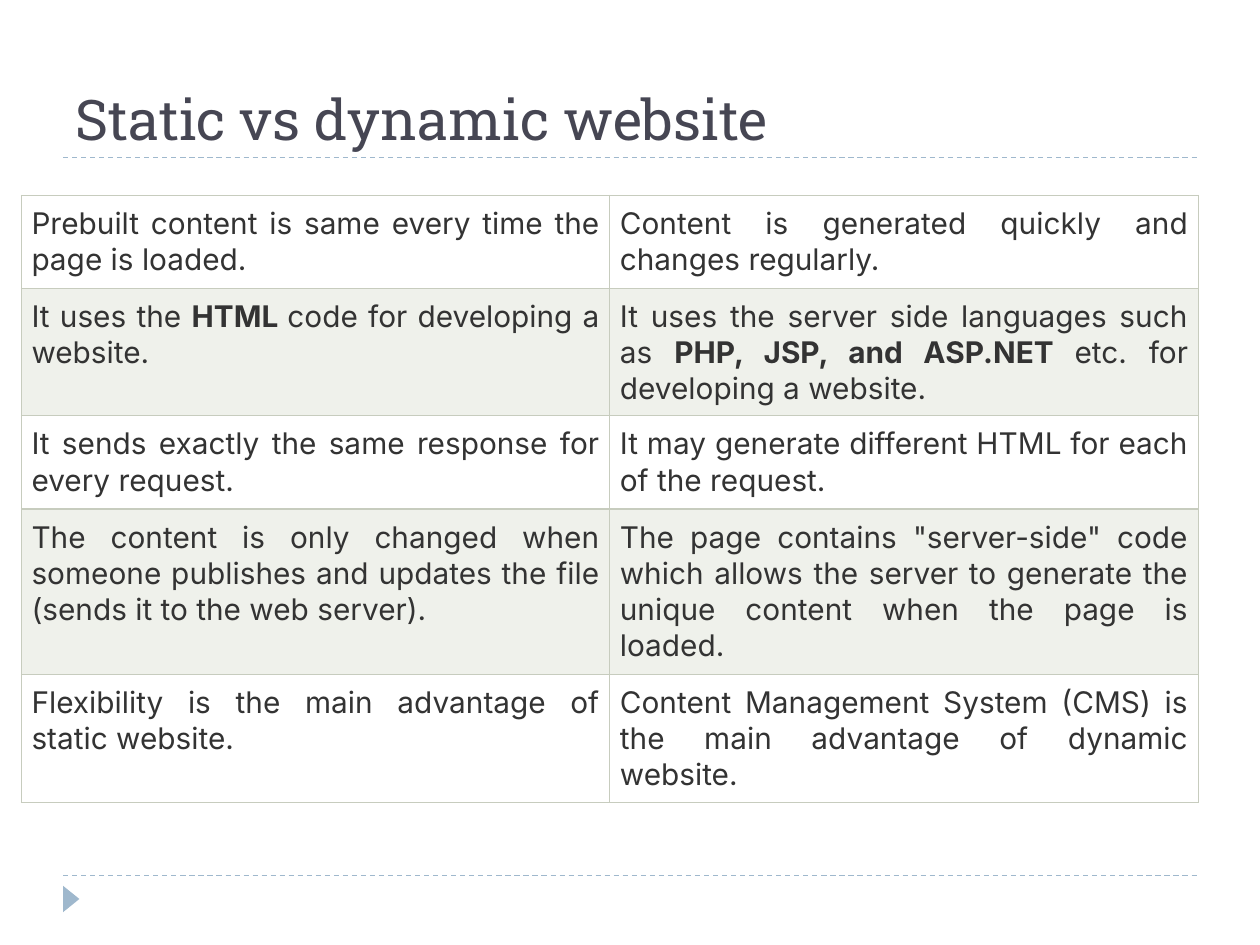
from dataclasses import dataclass
from lxml import etree
from pptx import Presentation
from pptx import util as u
from pptx.dml.color import RGBColor
from pptx.enum import dml, shapes, text
from pptx.oxml import ns


@dataclass(frozen=True)
class Theme:
    head: str = "Roboto Slab"
    body: str = "Inter"
    big: int = 32
    small: int = 17
    title: str = "464653"
    ink: str = "333333"
    accent: str = "9FB8CD"
    edge: str = "C7CCBE"
    bands: tuple = ("FFFFFF", "EFF1EB")
    line: float = 0.75


T = Theme()
WIDE, HIGH = 10, 7.5
LEFT, RIGHT = 0.05 * WIDE, 0.95 * WIDE
RULES = (1.25, 6.95)
GRID = (0.17, 1.55)
COL = 4.67
PAD = 0.08

# Row height, static side, dynamic side; ** marks bold
ROWS = (
    (0.74, "Prebuilt content is same every time the page is loaded.",
     "Content is generated quickly and changes regularly."),
    (1.01, "It uses the **HTML **code for developing a website.",
     "It uses the server side languages such as **PHP, JSP, and ASP.NET **"
     "etc. for developing a website."),
    (0.74, "It sends exactly the same response for every request.",
     "It may generate different HTML for each of the request."),
    (1.31, "The content is only changed when someone publishes and updates "
     "the file (sends it to the web server).",
     'The page contains "server-side" code which allows the server to '
     "generate the unique content when the page is loaded."),
    (1.02, "Flexibility is the main advantage of static website.",
     "Content Management System (CMS) is the main advantage of dynamic "
     "website."),
)


def rgb(code):
    return RGBColor.from_string(code)


def style(par, face, size, color):
    par.font.name = face
    par.font.size = u.Pt(size)
    par.font.color.rgb = rgb(color)


def rule(slide, y):
    line = slide.shapes.add_connector(
        shapes.MSO_CONNECTOR.STRAIGHT,
        *map(u.Inches, (LEFT, y, RIGHT, y)))
    line.line.color.rgb = rgb(T.accent)
    line.line.width = u.Pt(T.line)
    line.line.dash_style = dml.MSO_LINE.DASH
    etree.SubElement(line._element.spPr, ns.qn("a:effectLst"))


def marker(slide):
    mark = slide.shapes.add_shape(
        shapes.MSO_SHAPE.ISOSCELES_TRIANGLE,
        *map(u.Inches, (0.46, 7.07, 0.21, 0.13)))
    mark.rotation = 90
    mark.shadow.inherit = False
    mark.fill.solid()
    mark.fill.fore_color.rgb = rgb(T.accent)
    mark.line.fill.background()


def title(slide, words):
    box = slide.shapes.add_textbox(
        *map(u.Inches, (LEFT, 0.17, RIGHT - LEFT, 1.08)))
    frame = box.text_frame
    frame.word_wrap = True
    frame.vertical_anchor = text.MSO_ANCHOR.BOTTOM
    par = frame.paragraphs[0]
    par.text = words
    style(par, T.head, T.big, T.title)


def border(cell):
    props = cell._tc.get_or_add_tcPr()
    for side in ("lnL", "lnR", "lnT", "lnB"):
        edge = etree.SubElement(props, ns.qn("a:" + side),
                                w=str(u.Pt(T.line)))
        fill = etree.SubElement(edge, ns.qn("a:solidFill"))
        etree.SubElement(fill, ns.qn("a:srgbClr"), val=T.edge)


def write(cell, words, band):
    border(cell)
    cell.fill.solid()
    cell.fill.fore_color.rgb = rgb(band)
    cell.margin_left = cell.margin_right = u.Inches(PAD)
    cell.margin_top = cell.margin_bottom = u.Inches(PAD)
    par = cell.text_frame.paragraphs[0]
    par.alignment = text.PP_ALIGN.JUSTIFY
    style(par, T.body, T.small, T.ink)
    for n, part in enumerate(words.split("**")):
        run = par.add_run()
        run.text = part
        # Runs in a cell need their own font to override the table style
        style(run, T.body, T.small, T.ink)
        run.font.bold = n % 2 == 1


def table(slide):
    tall = sum(row[0] for row in ROWS)
    grid = slide.shapes.add_table(
        len(ROWS), 2, *map(u.Inches, (*GRID, 2 * COL, tall))).table
    grid.first_row = grid.horz_banding = False
    for r, (height, *cells) in enumerate(ROWS):
        grid.rows[r].height = u.Inches(height)
        for c, words in enumerate(cells):
            write(grid.cell(r, c), words, T.bands[r % 2])


def main():
    deck = Presentation()
    deck.slide_width, deck.slide_height = u.Inches(WIDE), u.Inches(HIGH)
    slide = deck.slides.add_slide(deck.slide_layouts[6])

    # Frame of the page
    for y in reversed(RULES):
        rule(slide, y)
    marker(slide)

    # Content
    title(slide, "Static vs dynamic website")
    table(slide)
    deck.save("out.pptx")


if __name__ == "__main__":
    main()
